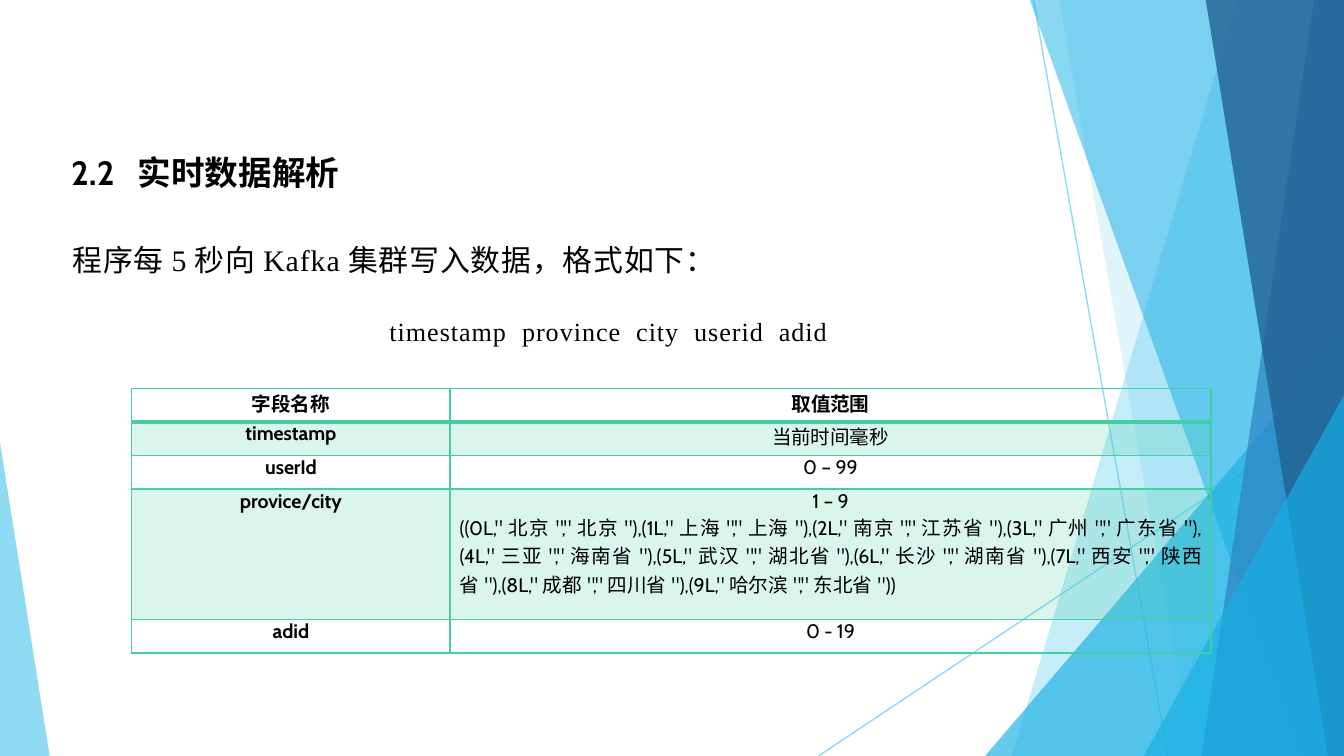
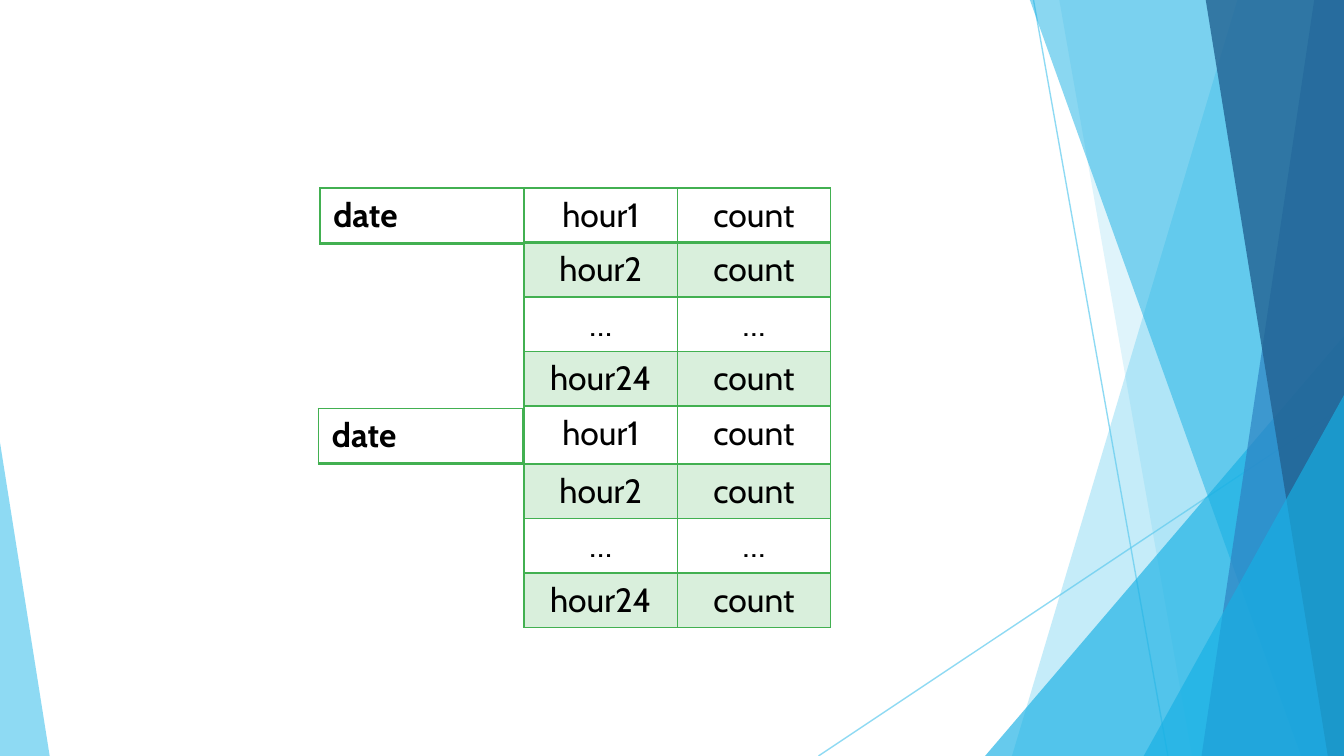
from dataclasses import dataclass

from lxml import etree
from pptx import Presentation
from pptx.dml.color import RGBColor
from pptx.enum.shapes import MSO_CONNECTOR, MSO_SHAPE
from pptx.enum.text import MSO_ANCHOR, MSO_AUTO_SIZE, PP_ALIGN
from pptx.oxml.ns import qn
from pptx.util import Inches, Pt

LEFT, CENTER, JUSTIFY = PP_ALIGN.LEFT, PP_ALIGN.CENTER, PP_ALIGN.JUSTIFY
TOP = MSO_ANCHOR.TOP
FIXED_SIZE = MSO_AUTO_SIZE.NONE
STRAIGHT = MSO_CONNECTOR.STRAIGHT
TRIANGLE = MSO_SHAPE.ISOSCELES_TRIANGLE
TITLE_ONLY, BLANK = 5, 6
WIDTH = 10
HEIGHT = WIDTH * 9 / 16
BAND_TOP = -0.01


@dataclass(frozen=True)
class Theme:
    sky: str = "5FCBEF"
    cyan: str = "17B0E4"
    blue: str = "2E83C3"
    navy: str = "226292"
    mint: str = "42D0A2"
    green: str = "42B051"
    ink: str = "000000"
    sans: str = "Cabin"
    serif: str = "Times New Roman"
    large: float = 18
    body: float = 16
    sample: float = 14
    small: float = 10.5


THEME = Theme()


@dataclass(frozen=True)
class Ray:
    start: tuple[float, float]
    end: tuple[float, float]


@dataclass(frozen=True)
class Band:
    top_x: float
    bottom_x: float
    color: str
    opacity: int


@dataclass(frozen=True)
class Wedge:
    left: float
    top: float
    width: float
    peak: float
    color: str
    opacity: int


@dataclass(frozen=True)
class Grid:
    left: float
    top: float
    columns: tuple[float, ...]
    heights: tuple[float, ...]
    rows: tuple[tuple[str, ...], ...]
    color: str
    size: float
    align: PP_ALIGN = CENTER
    bold_columns: tuple[int, ...] = ()
    bold_header: bool = False
    margins: tuple[float, float] = (0.1, 0.05)


BACKDROP = (
    Ray((7.69, 0), (8.69, HEIGHT)),
    Ray((WIDTH, 3.02), (6.09, HEIGHT)),
    Band(9.21, 7.53, THEME.sky, 36),
    Band(7.88, 8.87, THEME.sky, 20),
    Wedge(7.33, 2.5, 2.67, 1, THEME.cyan, 66),
    Band(7.66, 9.68, THEME.cyan, 50),
    Band(9.78, 8.94, THEME.blue, 70),
    Band(8.97, 9.88, THEME.navy, 80),
    Wedge(8.51, 2.94, 1.49, 1, THEME.cyan, 66),
    Wedge(0, 3.29, 0.37, 0, THEME.sky, 70),
)

CITIES = (
    '((0L,"北京","北京"),(1L,"上海","上海"),(2L,"南京","江苏省"),(3L,"广州","广东省"),'
    '(4L,"三亚","海南省"),(5L,"武汉","湖北省"),(6L,"长沙","湖南省"),(7L,"西安","陕西省"),'
    '(8L,"成都","四川省"),(9L,"哈尔滨","东北省"))'
)

FIELDS = Grid(
    0.98, 2.89, (2.37, 5.66), (0.25, 0.25, 0.25, 0.97, 0.25),
    (
        ("字段名称", "取值范围"),
        ("timestamp", "当前时间毫秒"),
        ("userId", "0 – 99"),
        ("provice/city", "1 – 9\n" + CITIES),
        ("adid", "0 - 19"),
    ),
    THEME.mint, THEME.small, bold_columns=(0,), bold_header=True, margins=(0.07, 0),
)

DAY = tuple((hour, "…" if hour == "…" else "count") for hour in ("hour1", "hour2", "…", "hour24"))
HOURS = Grid(
    3.9, 1.4, (1.14, 1.14), (0.24, 0.4, 0.4, 0.4, 0.43, 0.4, 0.4, 0.4),
    DAY * 2, THEME.green, THEME.large,
)
DATES = tuple(
    Grid(left, top, (1.52,), (0.41,), (("date",),), THEME.green, THEME.large,
         align=LEFT, bold_columns=(0,))
    for left, top in ((2.38, 1.4), (2.37, 3.04))
)


def fade(element, opacity: int) -> None:
    color = next(element.iter(qn("a:srgbClr")))
    etree.SubElement(color, qn("a:alpha"), val=str(opacity * 1000))


def draw_ray(shapes, ray: Ray) -> None:
    line = shapes.add_connector(STRAIGHT, *(Inches(value) for value in ray.start + ray.end))
    line.line.color.rgb = RGBColor.from_string(THEME.sky)
    line.line.width = Pt(0.75)
    fade(line.element, 70)
    etree.SubElement(line.element.spPr, qn("a:effectLst"))


def paint(shape, color: str, opacity: int) -> None:
    shape.shadow.inherit = False
    shape.fill.solid()
    shape.fill.fore_color.rgb = RGBColor.from_string(color)
    shape.line.fill.background()
    fade(shape.element, opacity)


def draw_band(shapes, band: Band) -> None:
    outline = shapes.build_freeform(Inches(band.top_x), Inches(BAND_TOP))
    corners = ((WIDTH, BAND_TOP), (WIDTH, HEIGHT), (band.bottom_x, HEIGHT))
    outline.add_line_segments([(Inches(x), Inches(y)) for x, y in corners], close=True)
    paint(outline.convert_to_shape(), band.color, band.opacity)


def draw_wedge(shapes, wedge: Wedge) -> None:
    shape = shapes.add_shape(
        TRIANGLE, Inches(wedge.left), Inches(wedge.top),
        Inches(wedge.width), Inches(HEIGHT - wedge.top),
    )
    shape.adjustments[0] = wedge.peak
    paint(shape, wedge.color, wedge.opacity)


PAINTERS = {Ray: draw_ray, Band: draw_band, Wedge: draw_wedge}


def add_page(deck, layout: int):
    page = deck.slides.add_slide(deck.slide_layouts[layout])
    group = page.shapes.add_group_shape()
    for part in BACKDROP:
        PAINTERS[type(part)](group.shapes, part)
    return page


def write(para, text: str, *, size: float, font: str = THEME.sans, bold: bool = False,
          align: PP_ALIGN = LEFT, spacing: float = 0, indent: float = 0,
          line_height: float = 0) -> None:
    para.alignment = align
    if line_height:
        para.line_spacing = Pt(line_height)
    if indent:
        para._p.get_or_add_pPr().set("indent", str(Inches(indent)))
    span = para.add_run()
    span.text = text
    span.font.name = font
    span.font.size = Pt(size)
    span.font.bold = bold
    span.font.color.rgb = RGBColor.from_string(THEME.ink)
    if spacing:
        span.font._element.set("spc", str(int(spacing * 100)))


def place(box, left: float, top: float, width: float, height: float) -> None:
    box.left, box.top = Inches(left), Inches(top)
    box.width, box.height = Inches(width), Inches(height)


def add_sentence(page, text: str, left: float, top: float, width: float, height: float,
                 size: float) -> None:
    box = page.shapes.add_textbox(0, 0, 0, 0)
    place(box, left, top, width, height)
    box.text_frame.word_wrap = True
    write(box.text_frame.paragraphs[0], text, size=size, font=THEME.serif, align=JUSTIFY,
          spacing=0.5, indent=0.32, line_height=16.5)


def add_border(cell, side: str, color: str, width: float) -> None:
    properties = cell._tc.get_or_add_tcPr()
    line = etree.SubElement(properties, qn(f"a:ln{side}"), w=str(Pt(width)))
    fill = etree.SubElement(line, qn("a:solidFill"))
    etree.SubElement(fill, qn("a:srgbClr"), val=color)


def fill_cell(cell, grid: Grid, row: int, column: int) -> None:
    across, down = (Inches(margin) for margin in grid.margins)
    cell.margin_left = cell.margin_right = across
    cell.margin_top = cell.margin_bottom = down
    cell.vertical_anchor = TOP
    for side in "LRTB":
        heavy = (side, row) in (("B", 0), ("T", 1))
        add_border(cell, side, grid.color, 2 if heavy else 1)
    if row % 2:
        cell.fill.solid()
        cell.fill.fore_color.rgb = RGBColor.from_string(grid.color)
        fade(cell._tc.tcPr.find(qn("a:solidFill")), 20)
    else:
        cell.fill.background()
    bold = column in grid.bold_columns or (grid.bold_header and row == 0)
    frame = cell.text_frame
    for index, text in enumerate(grid.rows[row][column].split("\n")):
        para = frame.add_paragraph() if index else frame.paragraphs[0]
        write(para, text, size=grid.size, bold=bold, align=JUSTIFY if index else grid.align)


def add_grid(page, grid: Grid) -> None:
    table = page.shapes.add_table(
        len(grid.heights), len(grid.columns), Inches(grid.left), Inches(grid.top),
        Inches(sum(grid.columns)), Inches(sum(grid.heights)),
    ).table
    table.first_row = table.horz_banding = False
    for column, width in enumerate(grid.columns):
        table.columns[column].width = Inches(width)
    for row, height in enumerate(grid.heights):
        table.rows[row].height = Inches(height)
        for column in range(len(grid.columns)):
            fill_cell(table.cell(row, column), grid, row, column)


def build_format_page(deck) -> None:
    page = add_page(deck, TITLE_ONLY)
    title = page.shapes.title
    place(title, 0.43, 1.08, 2.28, 0.4)
    title.text_frame.word_wrap = True
    title.text_frame.auto_size = FIXED_SIZE
    title.text_frame.vertical_anchor = TOP
    write(title.text_frame.paragraphs[0], "2.2  实时数据解析", size=THEME.large, bold=True)
    add_sentence(page, "程序每5秒向Kafka集群写入数据，格式如下：", 0.12, 1.79, 6.93, 0.34, THEME.body)
    add_sentence(page, "timestamp  province  city  userid  adid", 2.48, 2.3, 3.86, 0.33, THEME.sample)
    add_grid(page, FIELDS)


def build_hours_page(deck) -> None:
    page = add_page(deck, BLANK)
    for grid in (HOURS, *DATES):
        add_grid(page, grid)


def main() -> None:
    deck = Presentation()
    deck.slide_width, deck.slide_height = Inches(WIDTH), Inches(HEIGHT)
    build_format_page(deck)
    build_hours_page(deck)
    deck.save("out.pptx")


if __name__ == "__main__":
    main()
